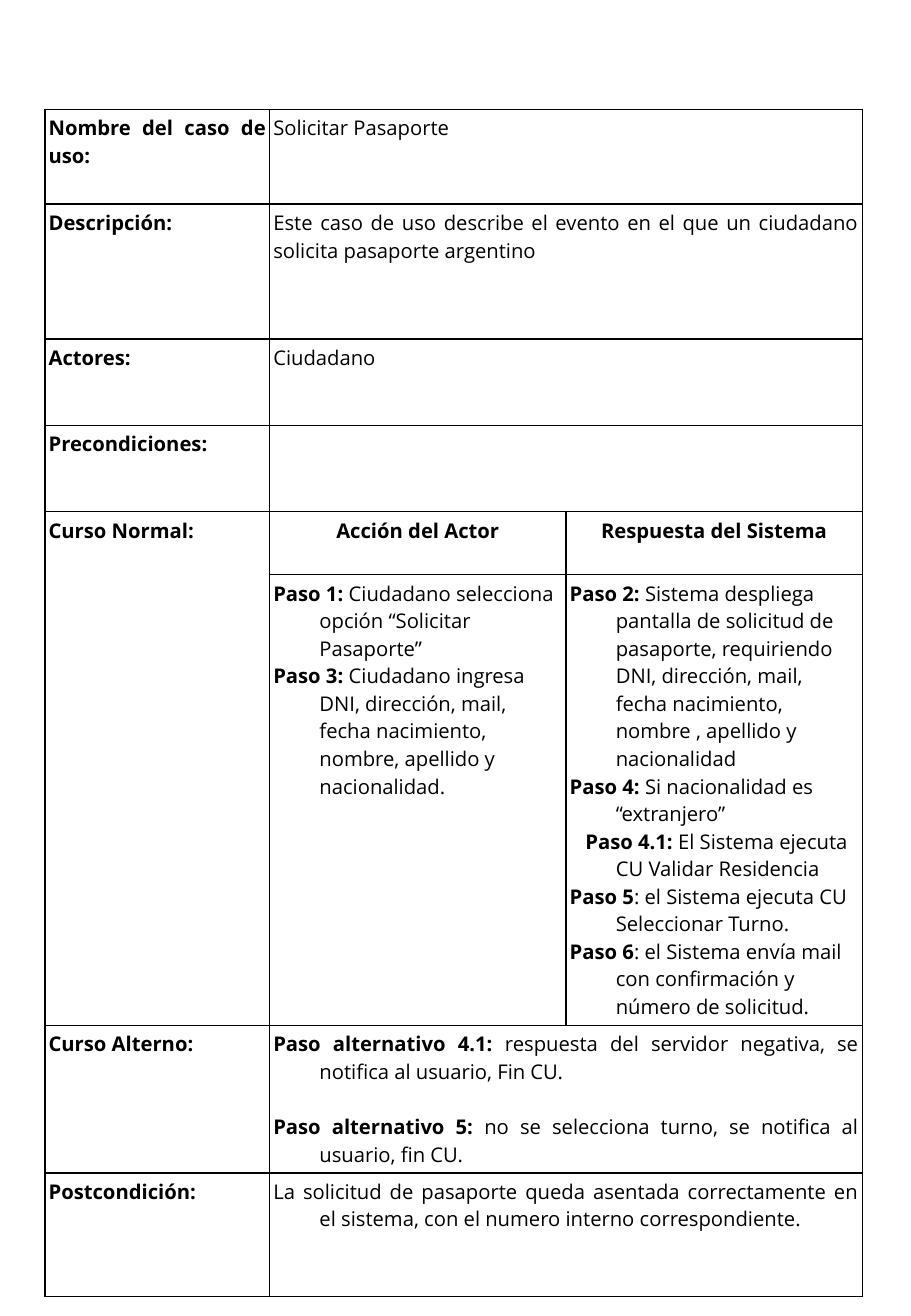
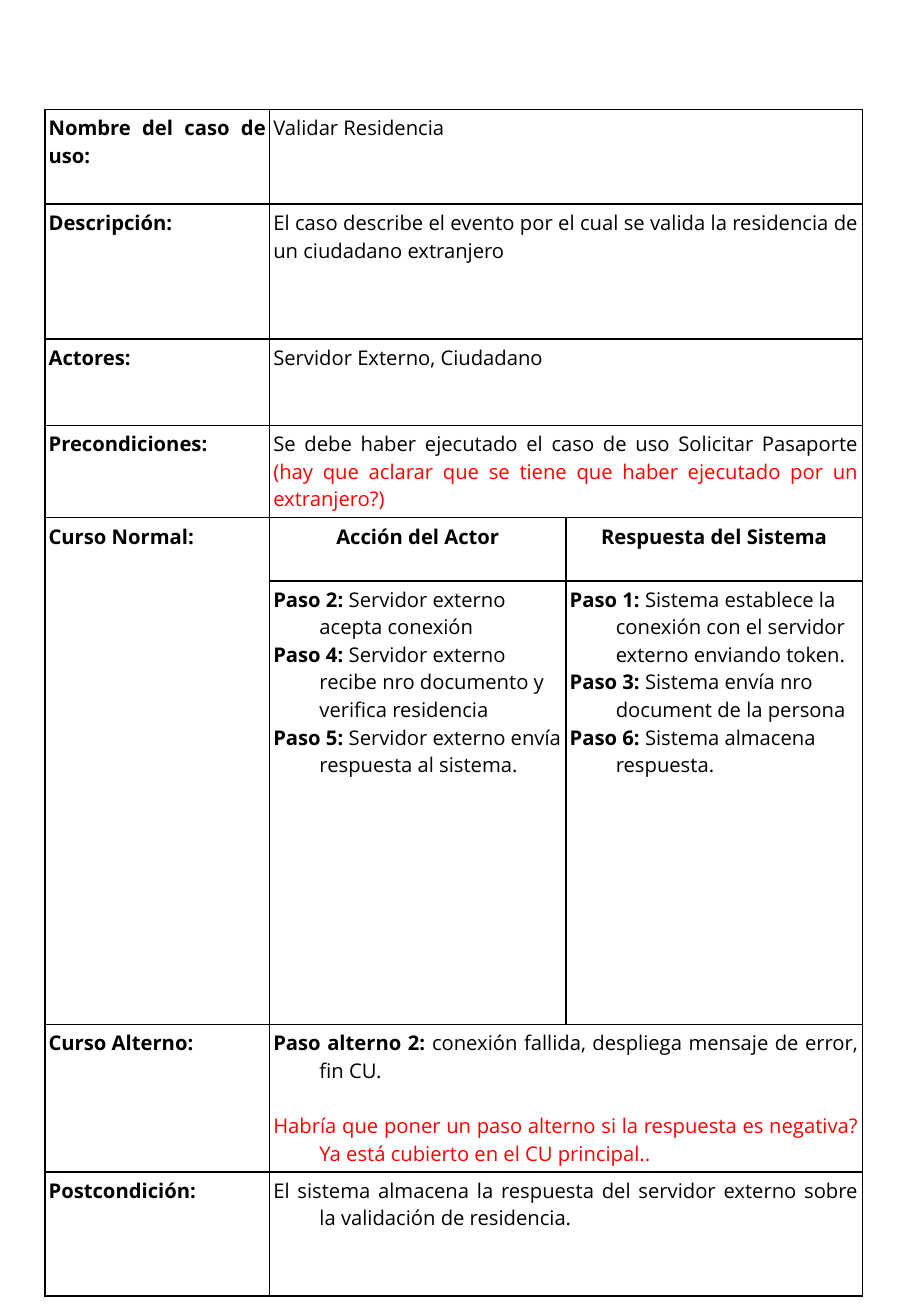
from dataclasses import dataclass

from lxml import etree
from pptx import Presentation
from pptx.dml.color import RGBColor
from pptx.enum.text import PP_ALIGN
from pptx.oxml.ns import qn
from pptx.util import Inches, Pt

LEFT, CENTER, JUSTIFY = PP_ALIGN.LEFT, PP_ALIGN.CENTER, PP_ALIGN.JUSTIFY
BLACK, RED = "000000", "FF0000"
FONT, SIZE = "Open Sans", 12
BLANK_LINE = 16.4
HANG = 0.38
TABLE_BOX = (0.37, 0.9, 6.73, 9.66)
COLUMNS = (1.85, 2.44, 2.44)
ROWS = (0.78, 1.11, 0.71, 0.71, 0.52, 3.65, 1.17, 1.02)
LABELS = {
    0: "Nombre del caso de uso:",
    1: "Descripción:",
    2: "Actores:",
    3: "Precondiciones:",
    4: "Curso Normal:",
    6: "Curso Alterno:",
    7: "Postcondición:",
}
HEADINGS = ("Acción del Actor", "Respuesta del Sistema")
HEADING_ROW, STEPS_ROW = 4, 5


@dataclass
class Line:
    """A paragraph with an optional bold lead and an optional red remark."""

    lead: str = ""
    text: str = ""
    remark: str = ""
    first: float = 0
    before: float = 0


USE_CASES = (
    {
        "wide": {
            0: [Line(text="Solicitar Pasaporte")],
            1: [Line(text="Este caso de uso describe el evento en el que un ciudadano "
                          "solicita pasaporte argentino")],
            2: [Line(text="Ciudadano")],
            3: [],
            6: [
                Line("Paso alternativo 4.1: ",
                     "respuesta del servidor negativa, se notifica al usuario, Fin CU."),
                Line("Paso alternativo 5: ",
                     "no se selecciona turno, se notifica al usuario, fin CU.",
                     before=BLANK_LINE),
            ],
            7: [Line(text="La solicitud de pasaporte queda asentada correctamente en el "
                          "sistema, con el numero interno correspondiente.")],
        },
        "steps": (
            [
                Line("Paso 1: ", "Ciudadano selecciona opción “Solicitar Pasaporte”"),
                Line("Paso 3: ", "Ciudadano ingresa DNI, dirección, mail, fecha "
                                 "nacimiento, nombre, apellido y nacionalidad."),
            ],
            [
                Line("Paso 2: ", "Sistema despliega pantalla de solicitud de pasaporte, "
                                 "requiriendo DNI, dirección, mail, fecha nacimiento, "
                                 "nombre , apellido y nacionalidad"),
                Line("Paso 4: ", "Si nacionalidad es “extranjero”"),
                Line("Paso 4.1: ", "El Sistema ejecuta CU Validar Residencia", first=0.13),
                Line("Paso 5", ": el Sistema ejecuta CU Seleccionar Turno."),
                Line("Paso 6", ": el Sistema envía mail con confirmación y número de "
                               "solicitud."),
            ],
        ),
    },
    {
        "wide": {
            0: [Line(text="Validar Residencia")],
            1: [Line(text="El caso describe el evento por el cual se valida la residencia "
                          "de un ciudadano extranjero")],
            2: [Line(text="Servidor Externo, Ciudadano")],
            3: [Line(text="Se debe haber ejecutado el caso de uso Solicitar Pasaporte ",
                     remark="(hay que aclarar que se tiene que haber ejecutado por un "
                            "extranjero?)")],
            6: [
                Line("Paso alterno 2: ",
                     "conexión fallida, despliega mensaje de error, fin CU."),
                Line(remark="Habría que poner un paso alterno si la respuesta es negativa? "
                            "Ya está cubierto en el CU principal..", before=BLANK_LINE),
            ],
            7: [Line(text="El sistema almacena la respuesta del servidor externo sobre la "
                          "validación de residencia.")],
        },
        "steps": (
            [
                Line("Paso 2: ", "Servidor externo acepta conexión"),
                Line("Paso 4: ", "Servidor externo recibe nro documento y verifica "
                                 "residencia"),
                Line("Paso 5: ", "Servidor externo envía respuesta al sistema."),
            ],
            [
                Line("Paso 1: ", "Sistema establece la conexión con el servidor externo "
                                 "enviando token."),
                Line("Paso 3: ", "Sistema envía nro document de la persona"),
                Line("Paso 6: ", "Sistema almacena respuesta."),
            ],
        ),
    },
)


def paint(font, colour):
    """Colour a font from a hex string."""
    font.color.rgb = RGBColor.from_string(colour)


def format_cell(cell):
    """Give a cell thin black borders, narrow margins and no fill."""
    properties = cell._tc.get_or_add_tcPr()
    for side in ("a:lnL", "a:lnR", "a:lnT", "a:lnB"):
        line = etree.SubElement(properties, qn(side), w=str(Pt(1)))
        fill = etree.SubElement(line, qn("a:solidFill"))
        etree.SubElement(fill, qn("a:srgbClr"), val=BLACK)
    cell.fill.background()
    cell.margin_left = cell.margin_right = Inches(0.03)
    cell.margin_top = cell.margin_bottom = Inches(0.04)


def write_cell(cell, lines, align, hang):
    """Write lines into a cell, hanging their later rows by the given length."""
    frame = cell.text_frame
    for index, line in enumerate(lines):
        para = frame.add_paragraph() if index else frame.paragraphs[0]
        para.alignment = align
        para.space_before = Pt(line.before)
        properties = para._p.get_or_add_pPr()
        properties.set("marL", str(Inches(hang)))
        properties.set("indent", str(Inches(line.first - hang)))
        para.font.name, para.font.size = FONT, Pt(SIZE)
        para.font.bold = not (line.text or line.remark)
        paint(para.font, BLACK if line.lead or line.text else RED)
        for part in filter(None, (line.lead, line.text, line.remark)):
            span = para.add_run()
            span.text = part
            if part == line.lead and line.text:
                span.font.bold = True
            if part == line.remark and line.text:
                paint(span.font, RED)


def add_use_case(page, box, use_case):
    """Place the table of one use case in a box."""
    table = page.shapes.add_table(len(ROWS), len(COLUMNS), *map(Inches, box)).table
    table.first_row = table.horz_banding = False
    for column, width in zip(table.columns, COLUMNS):
        column.width = Inches(width)
    for row, height in zip(table.rows, ROWS):
        row.height = Inches(height)
    for cell in table.iter_cells():
        format_cell(cell)
    table.cell(HEADING_ROW, 0).merge(table.cell(STEPS_ROW, 0))

    for row, label in LABELS.items():
        hang = HANG if row >= HEADING_ROW else 0
        write_cell(table.cell(row, 0), [Line(label)], JUSTIFY, hang)
        if row in use_case["wide"]:
            table.cell(row, 1).merge(table.cell(row, 2))
            write_cell(table.cell(row, 1), use_case["wide"][row], JUSTIFY, hang)
    for column, (heading, steps) in enumerate(zip(HEADINGS, use_case["steps"]), 1):
        write_cell(table.cell(HEADING_ROW, column), [Line(heading)], CENTER, HANG)
        write_cell(table.cell(STEPS_ROW, column), steps, LEFT, HANG)


def main():
    """Build one slide for each use case."""
    deck = Presentation()
    deck.slide_width, deck.slide_height = Inches(7.5), Inches(10.83)
    for use_case in USE_CASES:
        page = deck.slides.add_slide(deck.slide_layouts[6])
        add_use_case(page, TABLE_BOX, use_case)
    deck.save("out.pptx")


if __name__ == "__main__":
    main()
